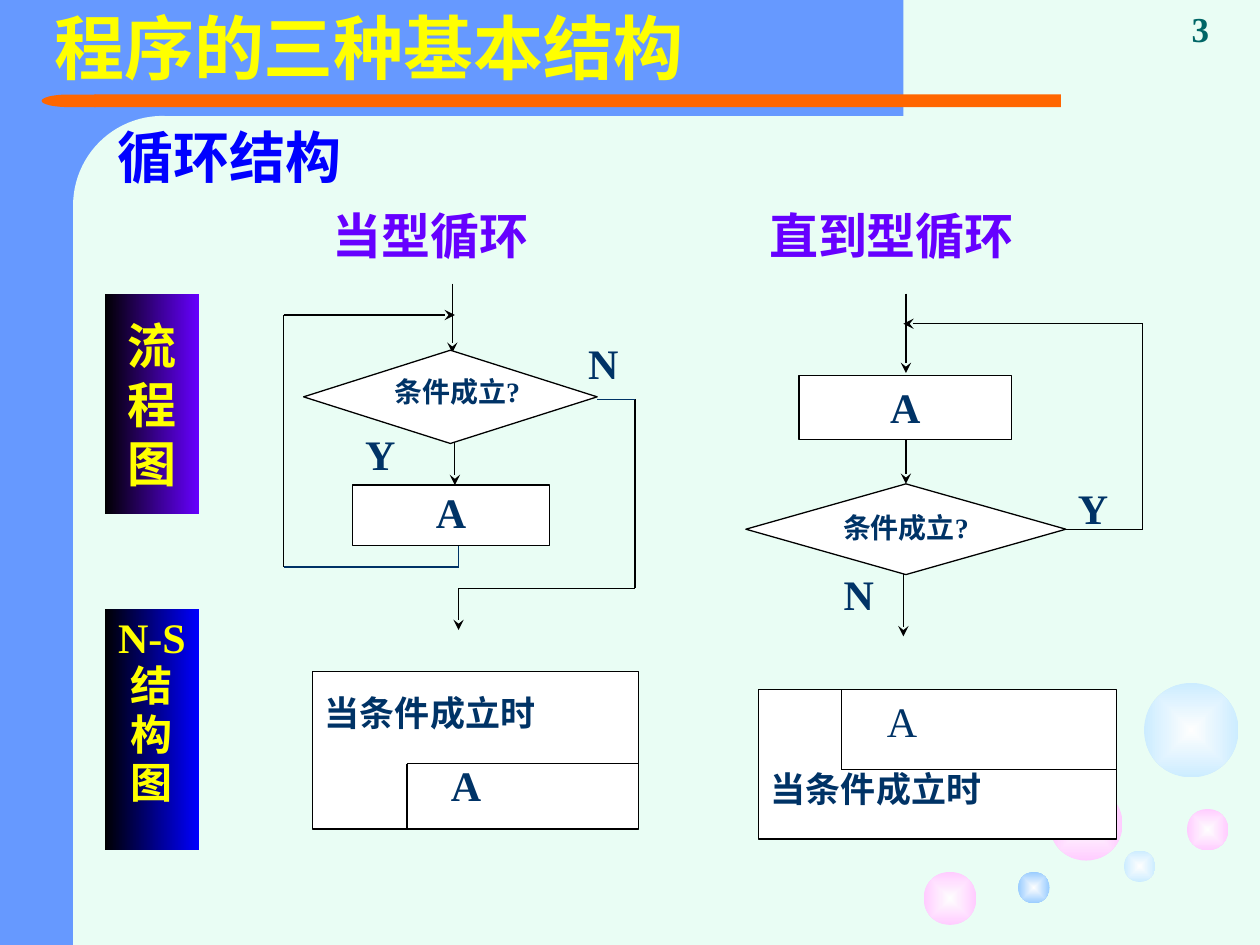
from pptx import Presentation
from pptx import util as u
from pptx.dml.color import RGBColor
from pptx.enum import shapes, text
from pptx.oxml import parse_xml
from pptx.oxml.ns import nsdecls, qn

MINT = RGBColor(0xE9, 0xFD, 0xF4)
SKY = RGBColor(0x66, 0x99, 0xFF)
ORANGE = RGBColor(0xFF, 0x66, 0x00)
YELLOW = RGBColor(0xFF, 0xFF, 0x00)
BLUE = RGBColor(0x00, 0x00, 0xFF)
VIOLET = RGBColor(0x66, 0x00, 0xFF)
NAVY = RGBColor(0x00, 0x33, 0x66)
TEAL = RGBColor(0x00, 0x66, 0x66)
BLACK = RGBColor(0, 0, 0)
WHITE = RGBColor(0xFF, 0xFF, 0xFF)
PEARL = RGBColor(0xFE, 0xFE, 0xFE)
PINK = RGBColor(0xFF, 0xCC, 0xFF)
ICE = RGBColor(0xCC, 0xEC, 0xFF)
AZURE = RGBColor(0x99, 0xCC, 0xFF)

KIND = shapes.MSO_SHAPE
RECT, ROUND, OVAL = KIND.RECTANGLE, KIND.ROUNDED_RECTANGLE, KIND.OVAL
DELAY, TEST = KIND.FLOWCHART_DELAY, KIND.FLOWCHART_DECISION
TOP, MID, LOW = (text.MSO_ANCHOR.TOP, text.MSO_ANCHOR.MIDDLE,
                 text.MSO_ANCHOR.BOTTOM)
LEFT, MEAN, JUST = text.PP_ALIGN.LEFT, text.PP_ALIGN.CENTER, text.PP_ALIGN.JUSTIFY
LATIN, HAN = "Times New Roman", "Noto Sans CJK SC"

DECOR = [
    (RECT, (0, 0, 1.25, 7.5), SKY, 0),
    (RECT, (0.5, 0, 6.67, 0.92), SKY, 0),
    (ROUND, (0.58, 0.92, 1.42, 5.75), MINT, 0),
    (RECT, (0.75, 0.75, 7.67, 0.1), ORANGE, 0),
    (DELAY, (0.33, 0.75, 0.43, 0.1), ORANGE, 180),
    (RECT, (0.58, 5.92, 1.42, 1.58), MINT, 0),
]
BUBBLES = [
    (8.33, 6.25, 0.58, PINK), (7.33, 6.92, 0.42, PINK),
    (8.92, 6.75, 0.25, ICE), (9.42, 6.42, 0.33, PINK),
    (9.08, 5.42, 0.75, ICE), (8.08, 6.92, 0.25, AZURE),
]
TITLE = ("程序的三种基本结构", dict(size=40, tint=YELLOW, align=JUST, gap=0.9))
BODY = ("循环结构", dict(size=32, tint=BLUE, face=HAN, align=LEFT, before=20))
LABELS = [
    ((1.92, 1.58, 2.99, 0.55), "当型循环", dict(size=28, tint=VIOLET), TOP, 0.05),
    ((5.58, 1.58, 2.99, 0.55), "直到型循环", dict(size=28, tint=VIOLET), TOP, 0.05),
    ((4.57, 2.67, 1.3, 0.67), "N", dict(align=JUST), TOP, 0.01),
    ((2.8, 3.39, 1.17, 0.54), "Y", dict(align=JUST), TOP, 0.01),
    ((8.02, 3.78, 1.31, 0.62), "Y", {}, TOP, 0.05),
    ((6.23, 4.46, 1.17, 0.62), "N", {}, TOP, 0.05),
    ((9.36, 0, 0.64, 0.44), "3", dict(size=20, tint=TEAL, align=LEFT), LOW, 0.05),
]
BARS = [
    ((0.83, 2.33, 0.75, 1.75), "流程图", VIOLET, dict(size=28), MID, 0.03),
    ((0.83, 4.83, 0.75, 1.92), "N-S结构图", BLUE, dict(gap=0.96), TOP, 0.05),
]
FLOWS = [
    (3.59, 2.25, 3.59, 2.8, BLACK, True),
    (2.25, 2.5, 3.61, 2.5, BLACK, True),
    (3.61, 3.51, 3.61, 3.85, BLACK, True),
    (3.64, 4.67, 3.64, 5, BLACK, True),
    (3.64, 4.67, 5.04, 4.67, BLACK, False),
    (5.04, 3.17, 5.04, 4.67, BLACK, False),
    (2.25, 2.5, 2.25, 4.5, BLACK, False),
    (4.74, 3.17, 5.04, 3.17, NAVY, False),
    (3.64, 4.33, 3.64, 4.5, NAVY, False),
    (2.25, 4.5, 3.64, 4.5, NAVY, False),
    (7.19, 2.33, 7.19, 2.96, BLACK, True),
    (7.19, 3.49, 7.19, 3.84, BLACK, True),
    (9.07, 2.57, 7.17, 2.57, BLACK, True),
    (7.17, 4.55, 7.17, 5.05, BLACK, True),
    (9.07, 2.57, 9.07, 4.2, BLACK, False),
    (8.41, 4.2, 9.07, 4.2, BLACK, False),
]
BOXES = [
    (TEST, (2.41, 2.78, 2.33, 0.74), [("条件成立?", dict(size=16))], TOP, 0.01),
    (RECT, (2.8, 3.85, 1.56, 0.48), [("A", {})], TOP, 0.01),
    (RECT, (2.48, 5.33, 2.59, 1.25),
     [("当条件成立时", dict(size=20, align=JUST, before=3)),
      ("A", dict(align=JUST, before=15, indent=1))], MID, 0.01),
    (RECT, (6.34, 2.98, 1.69, 0.51), [("A", {})], TOP, 0.05),
    (TEST, (5.92, 3.84, 2.54, 0.72),
     [("条件成立?", dict(size=16, gap=0.96))], TOP, 0.05),
    (RECT, (6.02, 5.47, 2.84, 1.19),
     [("A", dict(align=JUST, bold=False, indent=0.92)),
      ("当条件成立时", dict(size=20, align=JUST, before=12.5))], TOP, 0.05),
]
SPLITS = [
    (3.23, 6.06, 5.07, 6.06, BLACK, False),
    (3.23, 6.06, 3.23, 6.58, BLACK, False),
    (6.68, 5.47, 6.68, 6.11, BLACK, False),
    (6.68, 6.11, 8.86, 6.11, BLACK, False),
]


def put(obj, vals):
    for key, val in vals.items():
        setattr(obj, key, val)


def inch(vals):
    return [u.Inches(v) for v in vals]


def write(shape, lines, anchor=TOP, pad=0.05):
    frame = shape.text_frame
    put(frame, dict(word_wrap=True, auto_size=text.MSO_AUTO_SIZE.NONE,
                    vertical_anchor=anchor,
                    margin_left=u.Inches(0.1), margin_right=u.Inches(0.1),
                    margin_top=u.Inches(pad), margin_bottom=u.Inches(pad)))
    for i, (words, own) in enumerate(lines):
        form = dict(size=24, tint=NAVY, face=LATIN, align=MEAN, bold=True,
                    before=0, gap=1.0, indent=0) | own
        para = frame.add_paragraph() if i else frame.paragraphs[0]
        put(para, dict(alignment=form["align"], line_spacing=form["gap"],
                       space_before=u.Pt(form["before"])))
        props = para._p.get_or_add_pPr()
        props.set("marL", str(u.Inches(form["indent"])))
        props.set("indent", "0")
        props.append(parse_xml(f"<a:buNone {nsdecls('a')}/>"))
        run = para.add_run()
        run.text = words
        put(run.font, dict(size=u.Pt(form["size"]), bold=form["bold"],
                           name=form["face"]))
        run.font.color.rgb = form["tint"]
        run._r.get_or_add_rPr().append(
            parse_xml(f'<a:ea {nsdecls("a")} typeface="{HAN}"/>'))


def draw(slide, kind, at, fill=None, edge=None):
    shape = slide.shapes.add_shape(kind, *inch(at))
    shape.shadow.inherit = False
    if fill is not None:
        shape.fill.solid()
        shape.fill.fore_color.rgb = fill
    if edge is None:
        shape.line.fill.background()
    else:
        shape.line.color.rgb = edge
        shape.line.width = u.Pt(0.75)
    return shape


def blend(shape, start, end):
    shape.fill.gradient()
    shape.fill.gradient_angle = 180
    for stop, tint in zip(shape.fill.gradient_stops, (start, end)):
        stop.color.rgb = tint


def link(slide, x1, y1, x2, y2, tint, arrow):
    line = slide.shapes.add_connector(shapes.MSO_CONNECTOR.STRAIGHT,
                                      *inch((x1, y1, x2, y2)))
    line.line.color.rgb = tint
    line.line.width = u.Pt(0.75)
    if arrow:
        line.line._get_or_add_ln().append(
            parse_xml(f'<a:tailEnd {nsdecls("a")} type="stealth"/>'))
    line._element.spPr.append(parse_xml(f"<a:effectLst {nsdecls('a')}/>"))


def main():
    deck = Presentation()
    put(deck, dict(slide_width=u.Inches(10), slide_height=u.Inches(7.5)))
    slide = deck.slides.add_slide(deck.slide_layouts[1])
    slide.background.fill.solid()
    slide.background.fill.fore_color.rgb = MINT
    for kind, at, fill, turn in DECOR:
        shape = draw(slide, kind, at, fill)
        shape.rotation = turn
        if kind == ROUND:
            shape.adjustments[0] = 0.5
    for x, y, size, tint in BUBBLES:
        ball = draw(slide, OVAL, (x, y, size, size))
        blend(ball, PEARL, tint)
        grad = ball._element.spPr.find(qn("a:gradFill"))
        grad.replace(grad.find(qn("a:lin")), parse_xml(
            f'<a:path {nsdecls("a")} path="rect"><a:fillToRect '
            'l="50000" t="50000" r="50000" b="50000"/></a:path>'))
    heads = [(slide.shapes.title, (0.33, 0, 8.42, 0.83), TITLE, MID),
             (slide.placeholders[1], (0.83, 0.92, 8.75, 1.25), BODY, TOP)]
    for hold, at, line, anchor in heads:
        put(hold, dict(zip(("left", "top", "width", "height"), inch(at))))
        write(hold, [line], anchor)
        slide.shapes._spTree.append(hold._element)
    for flow in FLOWS:
        link(slide, *flow)
    for kind, at, lines, anchor, pad in BOXES:
        write(draw(slide, kind, at, WHITE, BLACK), lines, anchor, pad)
    for split in SPLITS:
        link(slide, *split)
    for at, words, form, anchor, pad in LABELS:
        write(slide.shapes.add_textbox(*inch(at)), [(words, form)], anchor, pad)
    for at, words, tint, form, anchor, pad in BARS:
        bar = draw(slide, RECT, at)
        blend(bar, tint, BLACK)
        write(bar, [(words, form | dict(tint=YELLOW))], anchor, pad)
    deck.save("out.pptx")


if __name__ == "__main__":
    main()
